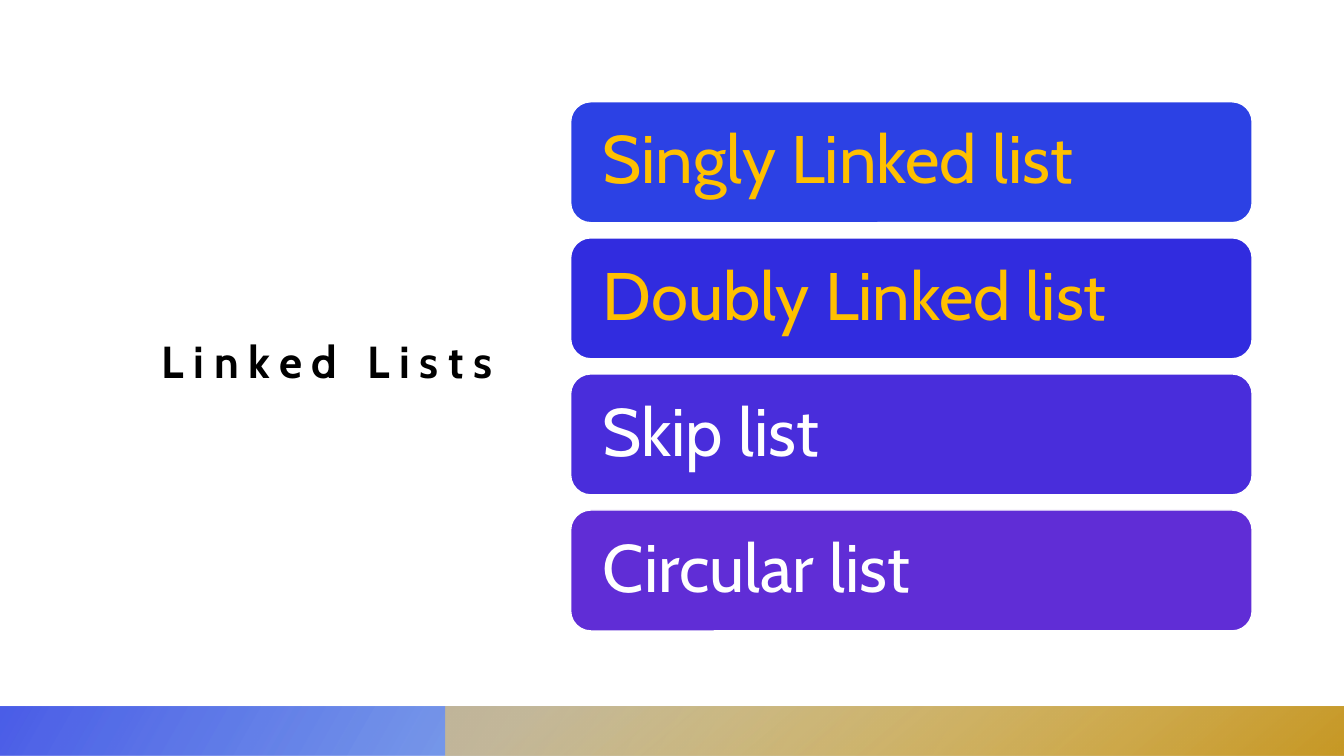
from dataclasses import dataclass

from lxml import etree
from pptx import Presentation
from pptx import util as u
from pptx.dml.color import RGBColor
from pptx.enum import shapes, text
from pptx.oxml.ns import qn


@dataclass(frozen=True)
class Theme:
    font: str = "Cabin"
    head: int = 32
    body: int = 48
    black: str = "000000"
    white: str = "FFFFFF"
    amber: str = "FFC000"
    blue: tuple = ((14, "1A7CD2", 28), (100, "2C41E4", 85))
    gold: tuple = ((9, "E5C576", 68), (99, "C89926", 100))


THEME = Theme()
CARDS = (
    ("Singly Linked list", "2C41E4", THEME.amber),
    ("Doubly Linked list", "312CDF", THEME.amber),
    ("Skip list", "492DDB", THEME.white),
    ("Circular list", "602DD6", THEME.white),
)


def rgb(code):
    return RGBColor.from_string(code)


def style(para, size, color, bold=False):
    para.alignment = text.PP_ALIGN.LEFT
    font = para.font
    font.name = THEME.font
    font.size = u.Pt(size)
    font.bold = bold
    font.color.rgb = rgb(color)


def add_title(slide, words):
    title = slide.shapes.title
    title.left, title.top = u.Inches(1.48), u.Inches(1.12)
    title.width, title.height = u.Inches(3.64), u.Inches(4.89)
    frame = title.text_frame
    frame.text = words
    frame.word_wrap = True
    frame.auto_size = text.MSO_AUTO_SIZE.NONE
    frame.vertical_anchor = text.MSO_ANCHOR.MIDDLE
    frame.margin_left = frame.margin_right = frame.margin_top = u.Inches(0.12)
    frame.margin_bottom = u.Inches(0.1)
    para = frame.paragraphs[0]
    style(para, THEME.head, THEME.black, True)
    para.runs[0].font._element.set("spc", "700")


def add_bar(slide, left, width, stops, angle):
    bar = slide.shapes.add_shape(
        shapes.MSO_SHAPE.RECTANGLE,
        u.Inches(left), u.Inches(7.01), u.Inches(width), u.Inches(0.49))
    bar.shadow.inherit = False
    bar.line.fill.background()
    bar.fill.gradient()
    bar.fill.gradient_angle = angle
    for stop, (place, color, alpha) in zip(bar.fill.gradient_stops, stops):
        stop.position = place / 100
        stop.color.rgb = rgb(color)
    tags = bar._element.spPr.iter(qn("a:srgbClr"))
    for tag, (place, color, alpha) in zip(tags, stops):
        etree.SubElement(tag, qn("a:alpha"), val=str(alpha * 1000))


def add_card(slide, top, words, fill, color):
    card = slide.shapes.add_shape(
        shapes.MSO_SHAPE.ROUNDED_RECTANGLE,
        u.Inches(5.66), u.Inches(top), u.Inches(6.76), u.Inches(1.2))
    card.shadow.inherit = False
    card.fill.solid()
    card.fill.fore_color.rgb = rgb(fill)
    card.line.color.rgb = rgb(THEME.white)
    card.line.width = u.Pt(1)
    frame = card.text_frame
    frame.text = words
    frame.word_wrap = True
    frame.vertical_anchor = text.MSO_ANCHOR.MIDDLE
    frame.margin_left = frame.margin_right = u.Inches(0.26)
    frame.margin_top = frame.margin_bottom = u.Inches(0.2)
    para = frame.paragraphs[0]
    para.line_spacing = 0.9
    style(para, THEME.body, color)


def main():
    deck = Presentation()
    deck.slide_width, deck.slide_height = u.Inches(13.33), u.Inches(7.5)
    slide = deck.slides.add_slide(deck.slide_layouts[5])
    add_title(slide, "Linked Lists")
    add_bar(slide, 0, 13.33, THEME.blue, 150)
    add_bar(slide, 4.42, 8.92, THEME.gold, 310)
    for row, card in enumerate(CARDS):
        add_card(slide, 1.01 + row * 1.35, *card)
    deck.save("out.pptx")


main()
